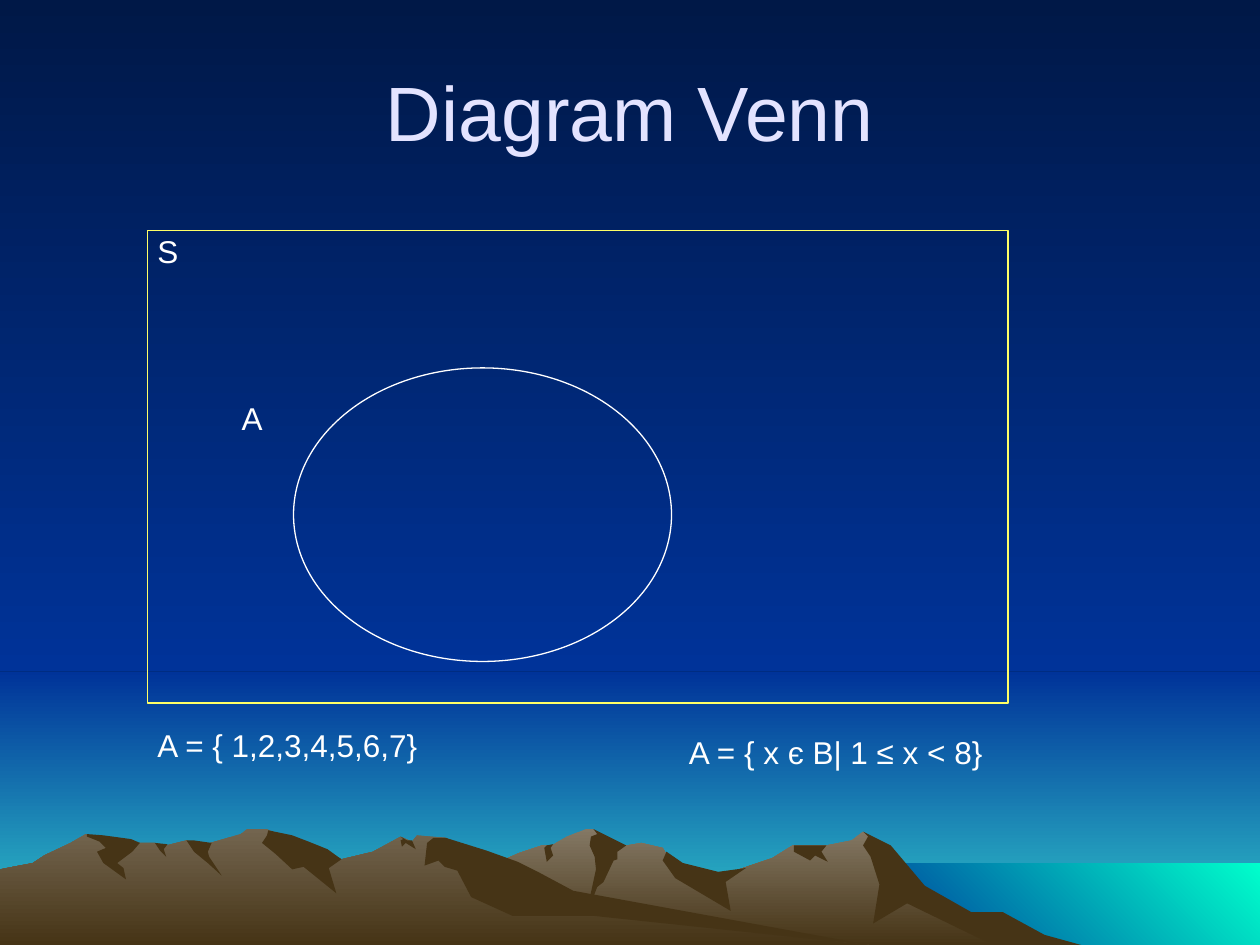
from dataclasses import dataclass

from pptx import Presentation
from pptx.dml.color import RGBColor
from pptx.enum.shapes import MSO_SHAPE
from pptx.enum.text import MSO_ANCHOR, MSO_AUTO_SIZE, PP_ALIGN
from pptx.util import Pt

RECTANGLE, ELLIPSE = MSO_SHAPE.RECTANGLE, MSO_SHAPE.OVAL
TOP, MIDDLE = MSO_ANCHOR.TOP, MSO_ANCHOR.MIDDLE
LEFT, CENTER = PP_ALIGN.LEFT, PP_ALIGN.CENTER
GROW = MSO_AUTO_SIZE.SHAPE_TO_FIT_TEXT
PX = 9144
SLIDE_WIDTH, SLIDE_HEIGHT = 1000, 750
HORIZON_TOP, SEA_LEFT, SEA_TOP, MOUNTAIN_TOP = 533, 683, 685, 658
DOWN, UP_RIGHT = 270, 45
BLANK_LAYOUT = 6


@dataclass(frozen=True)
class Theme:
    """Colours, type sizes and line width of the slide."""
    font: str = "Arial"
    title_size: int = 44
    label_size: int = 18
    line_width: float = 0.75
    title: str = "E3E3FF"
    white: str = "FFFFFF"
    universe: str = "FFFF66"
    rock: str = "463416"
    sky: tuple = ("001847", "003399")
    horizon: tuple = ("003399", "33CCCC")
    sea: tuple = ("003399", "00FFCC")
    far_slope: tuple = ("847864", "463416")
    near_slope: tuple = ("73654F", "463416")


THEME = Theme()


@dataclass(frozen=True)
class Shadow:
    """A dark rock face: its peak, and its outline as offsets from that peak."""
    peak: tuple
    offsets: tuple

    def outline(self):
        """Return the points of the face within the mountain box."""
        peak_x, peak_y = self.peak
        return [(peak_x + across, peak_y + down) for across, down in self.offsets]


@dataclass(frozen=True)
class Ridge:
    """A skyline from left to right, its slope colours and its shadows."""
    skyline: tuple
    slope: tuple
    shadows: tuple

    def outline(self, base):
        """Close the skyline down to the base line."""
        first_x, last_x = self.skyline[0][0], self.skyline[-1][0]
        return [*self.skyline, (last_x, base), (first_x, base)]


EAST_FACE = Shadow((685, 2), (
    (0, 0), (4, 4), (0, 11), (6, 20), (13, 42), (8, 73), (35, 57), (103, 90),
    (173, 90), (144, 82), (111, 64), (86, 64), (49, 43), (22, 11)))
SUMMIT_CLEFT = Shadow((471, 0), (
    (0, 0), (3, 4), (-2, 6), (-3, 13), (1, 22), (2, 32), (-6, 69), (3, 46),
    (8, 42), (16, 25), (19, 24), (19, 18), (26, 13)))
SADDLE = Shadow((529, 18), (
    (0, 0), (-3, 7), (7, 21), (51, 47), (47, 24), (63, 13), (41, 16), (13, 9)))
EAST_NOTCH = Shadow((656, 13), (
    (0, 0), (-26, 0), (-26, 5), (-13, 12), (-9, 8), (1, 13), (-4, 5)))
WEST_SPUR = Shadow((439, 12), (
    (0, 0), (-2, 3), (0, 9), (-5, 14), (-7, 3), (-5, 1)))

MIDDLE_FACE = Shadow((212, 1), (
    (0, 4), (-4, 10), (7, 19), (20, 31), (29, 29), (55, 50), (49, 30), (59, 23),
    (48, 15), (33, 9), (20, 4), (1, 0)))
LONG_SLOPE = Shadow((354, 7), (
    (0, 0), (-10, 0), (-15, 4), (-17, 22), (-6, 18), (-1, 23), (9, 26), (20, 47),
    (53, 62), (118, 62), (336, 85), (101, 42), (73, 27), (57, 19), (32, 10)))
KNOB = Shadow((318, 6), (
    (0, 3), (2, 2), (0, 0), (5, 3), (9, 3), (12, 10), (4, 5), (1, 8)))
GULLY = Shadow((148, 9), (
    (0, 0), (6, 0), (20, 2), (17, 9), (18, 13), (28, 28), (17, 18), (6, 9)))
SMALL_NOTCH = Shadow((123, 11), ((0, 0), (10, 1), (7, 5), (9, 11), (4, 6)))
WEST_FACE = Shadow((69, 4), (
    (0, 0), (0, 2), (10, 6), (15, 11), (8, 14), (13, 23), (31, 36), (29, 27),
    (24, 23), (36, 14), (42, 7), (35, 4), (13, 1)))

FAR_RIDGE = Ridge(
    skyline=((258, 92), (277, 81), (327, 51), (355, 40), (394, 27), (412, 19), (430, 13),
             (438, 13), (450, 6), (465, 0), (471, 0), (486, 15), (509, 11), (526, 15),
             (536, 32), (566, 39), (613, 23), (629, 13), (656, 13), (676, 9), (685, 2),
             (702, 13), (723, 40), (764, 65), (778, 69), (820, 92)),
    slope=THEME.far_slope,
    shadows=(EAST_FACE, SUMMIT_CLEFT, SADDLE, EAST_NOTCH, WEST_SPUR))
NEAR_RIDGE = Ridge(
    skyline=((0, 32), (26, 27), (35, 21), (56, 11), (68, 4), (94, 13), (111, 11), (123, 11),
             (132, 13), (148, 9), (160, 13), (191, 4), (196, 0), (212, 0), (223, 5),
             (236, 23), (260, 18), (271, 24), (296, 18), (318, 6), (327, 10), (331, 5),
             (354, 7), (432, 54), (667, 90), (690, 92)),
    slope=THEME.near_slope,
    shadows=(MIDDLE_FACE, LONG_SLOPE, KNOB, GULLY, SMALL_NOTCH, WEST_FACE))


def apply_gradient(fill, colors, angle=DOWN):
    """Fill with a two-colour linear gradient."""
    fill.gradient()
    fill.gradient_angle = angle
    for stop, color in zip(fill.gradient_stops, colors):
        stop.color.rgb = RGBColor.from_string(color)


def style_shape(shape, fill=None, line=None, angle=DOWN):
    """Set a shape's fill and line; a tuple of colours makes a gradient."""
    shape.shadow.inherit = False
    if fill is None:
        shape.fill.background()
    elif isinstance(fill, tuple):
        apply_gradient(shape.fill, fill, angle)
    else:
        shape.fill.solid()
        shape.fill.fore_color.rgb = RGBColor.from_string(fill)
    if line is None:
        shape.line.fill.background()
    else:
        shape.line.color.rgb = RGBColor.from_string(line)
        shape.line.width = Pt(THEME.line_width)


def add_preset(slide, kind, box, **style):
    """Add a styled preset shape."""
    style_shape(slide.shapes.add_shape(kind, *(length * PX for length in box)), **style)


def add_outline(slide, box, points, fill):
    """Add a filled polygon whose points are relative to the box."""
    builder = slide.shapes.build_freeform(*points[0], scale=PX)
    builder.add_line_segments(points[1:], close=True)
    style_shape(builder.convert_to_shape(box[0] * PX, box[1] * PX), fill=fill)


def add_text(slide, box, text, size=THEME.label_size, color=THEME.white,
             align=LEFT, anchor=TOP, wrap=False):
    """Add a one-paragraph text box."""
    frame = slide.shapes.add_textbox(*(length * PX for length in box)).text_frame
    frame.word_wrap = wrap
    frame.vertical_anchor = anchor
    if not wrap:
        frame.auto_size = GROW
    paragraph = frame.paragraphs[0]
    paragraph.alignment = align
    run = paragraph.add_run()
    run.text = text
    run.font.name = THEME.font
    run.font.size = Pt(size)
    run.font.color.rgb = RGBColor.from_string(color)


def draw_backdrop(slide, box):
    """Draw the horizon, the sky and the sea, each given by its corners."""
    left, top, width, height = box
    bands = ((0, HORIZON_TOP, height, THEME.horizon, DOWN),
             (0, 0, HORIZON_TOP, THEME.sky, DOWN),
             (SEA_LEFT, SEA_TOP, height, THEME.sea, UP_RIGHT))
    apply_gradient(slide.background.fill, THEME.sky)
    for start, upper, lower, colors, angle in bands:
        add_preset(slide, RECTANGLE, (left + start, top + upper, width - start, lower - upper),
                   fill=colors, angle=angle)


def draw_mountains(slide, box):
    """Draw each ridge with its shadows, far ridge first."""
    for ridge in (FAR_RIDGE, NEAR_RIDGE):
        add_outline(slide, box, ridge.outline(base=box[3]), ridge.slope)
        for shadow in ridge.shadows:
            add_outline(slide, box, shadow.outline(), THEME.rock)


def draw_venn(slide, box):
    """Draw the universe, the set inside it and their labels."""
    left, top, width, height = box
    labels = (("A", 65, 129, 36),
              ("S", -2, -4, 36),
              ("A = { 1,2,3,4,5,6,7}", -2, height + 13, 228),
              ("A = { x є B| 1 ≤ x < 8}", 420, height + 19, 254))
    add_preset(slide, ELLIPSE, (left + 116, top + 109, 300, 233), line=THEME.white)
    add_preset(slide, RECTANGLE, box, line=THEME.universe)
    for text, across, down, label_width in labels:
        add_text(slide, (left + across, top + down, label_width, 40), text)


def main():
    """Build the slide and save it."""
    presentation = Presentation()
    presentation.slide_width = SLIDE_WIDTH * PX
    presentation.slide_height = SLIDE_HEIGHT * PX
    slide = presentation.slides.add_slide(presentation.slide_layouts[BLANK_LAYOUT])
    draw_backdrop(slide, (0, 0, SLIDE_WIDTH, SLIDE_HEIGHT))
    draw_mountains(slide, (0, MOUNTAIN_TOP, SLIDE_WIDTH, SLIDE_HEIGHT - MOUNTAIN_TOP))
    add_text(slide, (50, 25, 900, 125), "Diagram Venn", size=THEME.title_size,
             color=THEME.title, align=CENTER, anchor=MIDDLE, wrap=True)
    draw_venn(slide, (117, 183, 683, 375))
    presentation.save("out.pptx")


if __name__ == "__main__":
    main()
